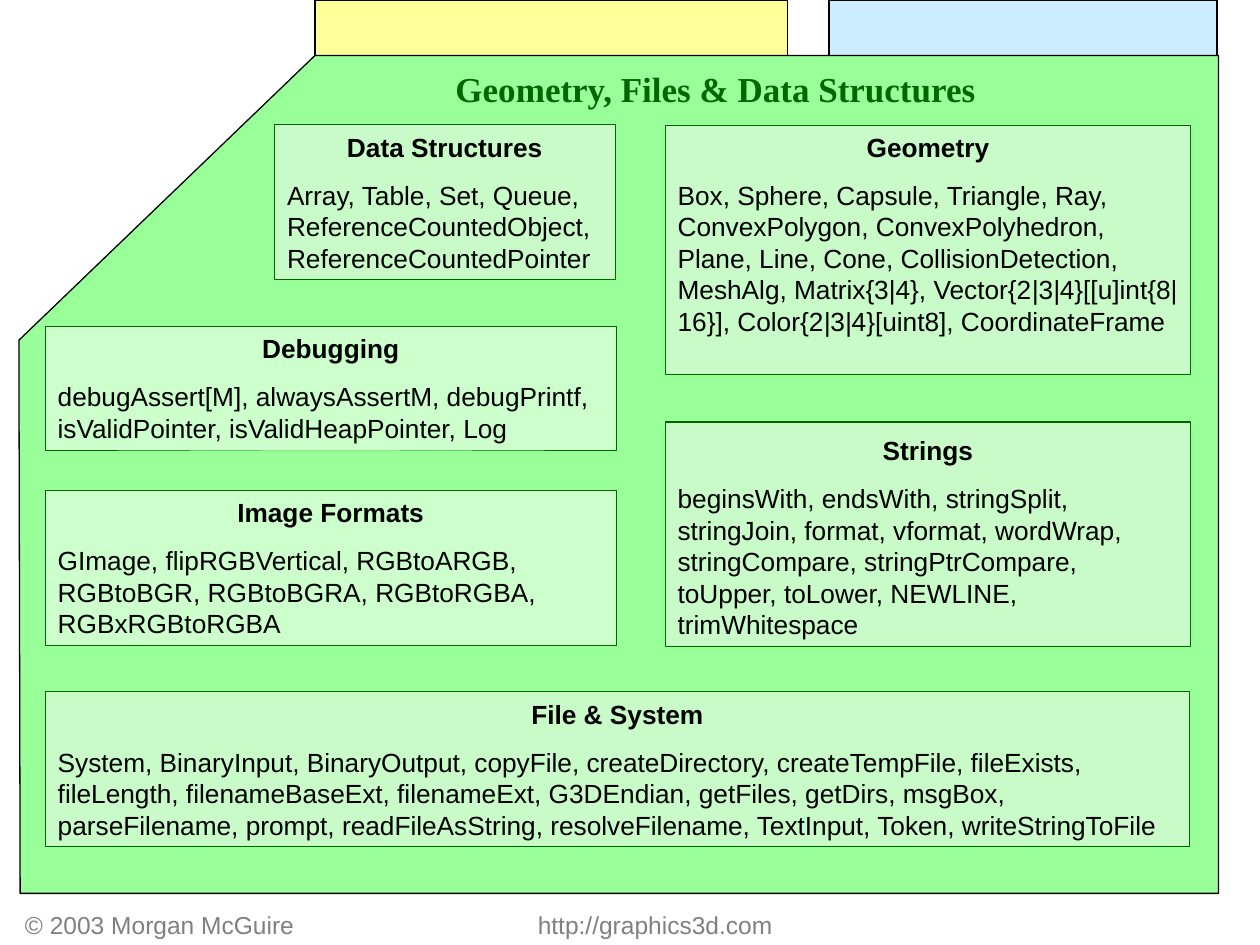
from lxml import etree
from pptx import Presentation
from pptx.dml.color import RGBColor
from pptx.enum.shapes import MSO_SHAPE
from pptx.enum.text import MSO_ANCHOR, PP_ALIGN
from pptx.oxml.ns import qn
from pptx.util import Inches, Pt

RECT = MSO_SHAPE.RECTANGLE
TOP = MSO_ANCHOR.TOP
LEFT, CENTER = PP_ALIGN.LEFT, PP_ALIGN.CENTER

BLACK = RGBColor(0x00, 0x00, 0x00)
WHITE = RGBColor(0xFF, 0xFF, 0xFF)
PALE = RGBColor(0xF8, 0xF8, 0xF8)
BLUE = RGBColor(0xCC, 0xEC, 0xFF)
YELLOW = RGBColor(0xFF, 0xFF, 0x99)
GREEN = RGBColor(0x99, 0xFF, 0x99)
DARK = RGBColor(0x00, 0x66, 0x00)
GRAY = RGBColor(0x80, 0x80, 0x80)

TITLE = "Geometry, Files & Data Structures"
FOOTER = "© 2003 Morgan McGuire\thttp://graphics3d.com"
URL_TAB = 4.07

TABS = [((6.58, 0, 3.08, 0.45), BLUE), ((2.5, 0, 3.75, 0.45), YELLOW)]
FOLDER = [(2.5, 0.44), (9.67, 0.44), (9.67, 7.09), (0.16, 7.09), (0.15, 2.7)]

COL1, COL2, WIDE1, WIDE2 = 0.36, 5.28, 4.53, 4.17
ROW1, SHORT = 0.99, 1.23

# Body text alternates upright and italic runs
CARDS = [
    ("Debugging", (COL1, 2.59, WIDE1, 0.98), WHITE,
     ["debugAssert[M], alwaysAssertM, debugPrintf, isValidPointer, "
      "isValidHeapPointer, Log"]),
    ("Data Structures", (2.18, ROW1, 2.7, SHORT), PALE,
     ["Array, Table, Set, Queue, ReferenceCountedObject, "
      "ReferenceCountedPointer"]),
    ("Image Formats", (COL1, 3.89, WIDE1, SHORT), WHITE,
     ["GImage, flipRGBVertical, RGBtoARGB, RGBtoBGR, RGBtoBGRA, "
      "RGBtoRGBA, RGBxRGBtoRGBA"]),
    ("Geometry", (COL2, ROW1, WIDE2, 1.98), PALE,
     ["Box, Sphere, Capsule, Triangle, Ray, ConvexPolygon, "
      "ConvexPolyhedron, Plane, Line, Cone, CollisionDetection, MeshAlg, "
      "Matrix{3|4}, Vector{2", "|", "3", "|", "4}[[u]int{8|16}], Color{2",
      "|", "3", "|", "4}[uint8], CoordinateFrame"]),
    ("File & System", (COL1, 5.49, 9.08, SHORT), PALE,
     ["System, BinaryInput, BinaryOutput, copyFile, createDirectory, "
      "createTempFile, fileExists, fileLength, filenameBaseExt, "
      "filenameExt, G3DEndian, getFiles, getDirs, msgBox, parseFilename, "
      "prompt, readFileAsString, resolveFilename, TextInput, Token, "
      "writeStringToFile"]),
]
STRINGS = ["beginsWith, endsWith, stringSplit, stringJoin, format, vformat, "
           "wordWrap, stringCompare, stringPtrCompare, toUpper, toLower, "
           "NEWLINE, trimWhitespace"]

deck = Presentation()
deck.slide_width, deck.slide_height = Inches(10), Inches(7.5)
slide = deck.slides.add_slide(deck.slide_layouts[6])
shapes = slide.shapes


def paint(shape, fill, line=BLACK, width=0.75, alpha=None):
    shape.shadow.inherit = False
    shape.fill.solid()
    shape.fill.fore_color.rgb = fill
    shape.line.color.rgb = line
    shape.line.width = Pt(width)
    if alpha:
        tone = shape.fill._xPr.find(".//" + qn("a:srgbClr"))
        etree.SubElement(tone, qn("a:alpha"), val=str(alpha * 1000))
    return shape


def rect(place, fill, **style):
    return paint(shapes.add_shape(RECT, *map(Inches, place)), fill, **style)


def label(place):
    return shapes.add_textbox(*map(Inches, place))


def write(shape, runs, size=15, font="Arial", color=BLACK, bold=False,
          align=LEFT, before=0, tab=None, more=False):
    frame = shape.text_frame
    frame.word_wrap = True
    frame.vertical_anchor = TOP
    para = frame.add_paragraph() if more else frame.paragraphs[0]
    para.alignment = align
    para.space_before = Pt(before)
    if tab:
        stops = etree.SubElement(para._p.get_or_add_pPr(), qn("a:tabLst"))
        etree.SubElement(stops, qn("a:tab"), pos=str(Inches(tab)), algn="l")
    for i, text in enumerate(runs):
        run = para.add_run()
        run.text = text
        face = run.font
        face.name, face.size, face.bold = font, Pt(size), bold
        face.italic = i % 2 == 1
        face.color.rgb = color


def card(shape, head, body):
    write(shape, [head], bold=True, align=CENTER)
    write(shape, body, before=9.4, more=True)


for place, fill in TABS:
    rect(place, fill)

pen = shapes.build_freeform(*map(Inches, FOLDER[0]))
pen.add_line_segments([(Inches(x), Inches(y)) for x, y in FOLDER[1:]])
paint(pen.convert_to_shape(), GREEN)

write(label((3.19, 0.49, 4.98, 0.44)), [TITLE], size=20,
      font="Times New Roman", color=DARK, bold=True, align=CENTER)

for head, place, fill, body in CARDS:
    card(rect(place, fill, line=DARK, width=0.25, alpha=50), head, body)

rect((COL2, 3.35, WIDE2, 1.78), PALE, line=DARK, alpha=50)
card(label((COL2, 3.4, WIDE2, 1.73)), "Strings", STRINGS)

write(label((0.1, 7.17, 6.16, 0.34)), [FOOTER], size=14, color=GRAY,
      tab=URL_TAB)

deck.save("out.pptx")
